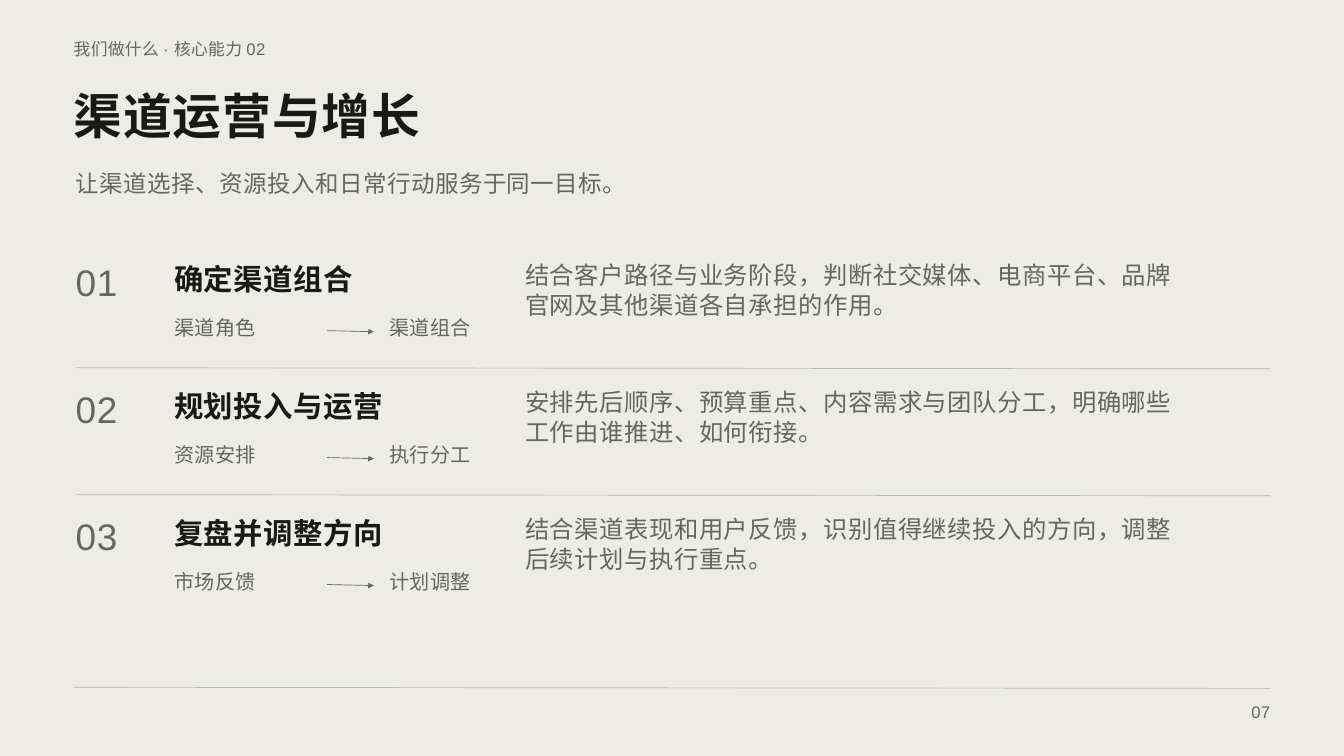
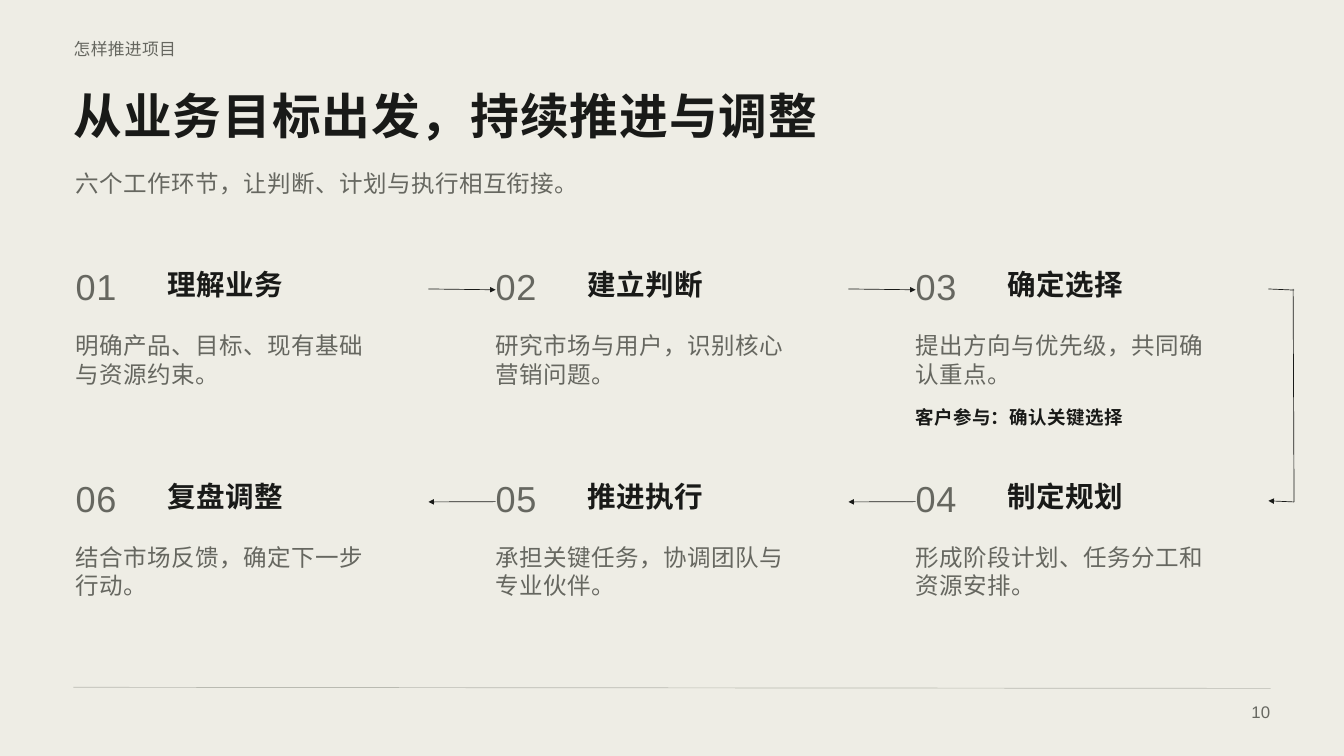
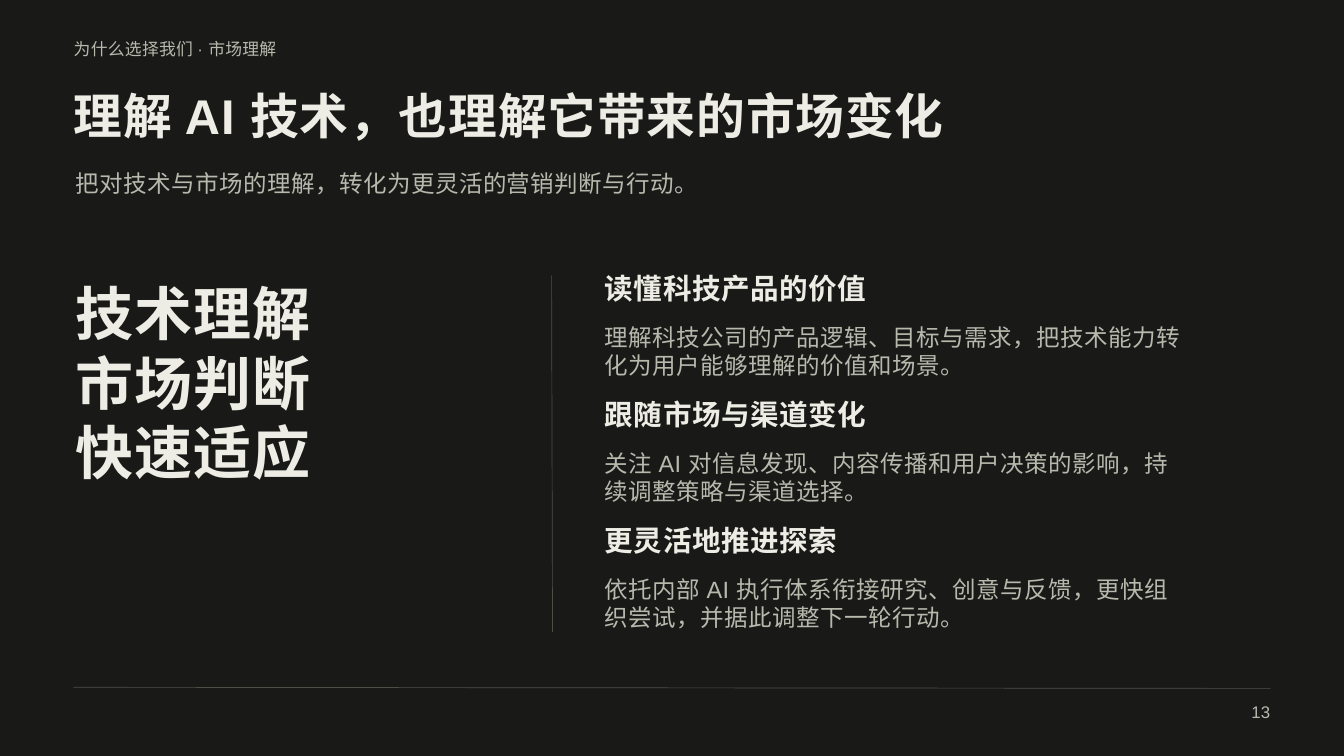
from dataclasses import dataclass
from pptx import Presentation
from pptx.dml.color import RGBColor
from pptx.enum.shapes import MSO_CONNECTOR
from pptx.enum.text import MSO_AUTO_SIZE, PP_ALIGN
from pptx.oxml.ns import qn
from pptx.util import Pt
from lxml.etree import SubElement


@dataclass(frozen=True)
class Palette:
    bg: str
    ink: str
    muted: str
    rule: str


@dataclass(frozen=True)
class Style:
    size: float
    spacing: int
    bold: bool = False


class Theme:
    font = "Arial"
    light = Palette("EEEDE5", "191A18", "666760", "B9BAB1")
    dark = Palette("191A18", "EEEDE5", "B7B9AD", "4D4F47")
    line_width = 0.75
    leading = 1.2
    tilt = 1.2
    small = Style(18, 30)
    title = Style(52.2, 100, True)
    lead = Style(25.2, 50)
    row_number = Style(39.6, 80)
    row_title = Style(31.5, 60, True)
    row_body = Style(26.1, 50)
    row_tag = Style(21.6, 40)
    step_number = Style(38.7, 80)
    heading = Style(30.6, 60, True)
    note = Style(19.8, 40, True)
    statement = Style(62.1, 120, True)


def add_text(s, box, lines, style, color, align=PP_ALIGN.LEFT):
    tb = s.shapes.add_textbox(*map(Pt, box))
    tf = tb.text_frame
    tf.word_wrap = True
    tf.auto_size = MSO_AUTO_SIZE.SHAPE_TO_FIT_TEXT
    tf.margin_left = tf.margin_right = tf.margin_top = tf.margin_bottom = 0
    for i, line in enumerate(lines):
        p = tf.add_paragraph() if i else tf.paragraphs[0]
        p.alignment = align
        p.line_spacing = Pt(style.size * Theme.leading)
        r = p.add_run()
        r.text = line
        r.font.name = Theme.font
        r.font.size = Pt(style.size)
        r.font.bold = style.bold
        r.font.color.rgb = RGBColor.from_string(color)
        r._r.get_or_add_rPr().set("spc", str(style.spacing))
    return tb


def add_line(s, x1, y1, x2, y2, color, arrow=None):
    c = s.shapes.add_connector(MSO_CONNECTOR.STRAIGHT, *map(Pt, (x1, y1, x2, y2)))
    c.line.color.rgb = RGBColor.from_string(color)
    c.line.width = Pt(Theme.line_width)
    if arrow:
        SubElement(c.line._get_or_add_ln(), qn(f"a:{arrow}"), type="triangle")
    SubElement(c._element.spPr, qn("a:effectLst"))
    return c


def add_level(s, x1, x2, y, color, arrow=None):
    return add_line(s, x1, y, x2, y + Theme.tilt, color, arrow)


def add_page(prs, pal, section, title, lead, number):
    s = prs.slides.add_slide(prs.slide_layouts[6])
    s.background.fill.solid()
    s.background.fill.fore_color.rgb = RGBColor.from_string(pal.bg)
    add_text(s, (79, 42, 990, 22), [section], Theme.small, pal.muted)
    add_text(s, (79, 91.5, 1282, 64), [title], Theme.title, pal.ink)
    add_text(s, (81, 181.5, 1260, 32), [lead], Theme.lead, pal.muted)
    add_level(s, 78.5, 1361.5, 736.4, pal.rule)
    add_text(s, (1291, 751.5, 70, 22), [number], Theme.small, pal.muted, PP_ALIGN.RIGHT)
    return s


def add_row(s, x, y, pal, number, title, body, source, result):
    add_text(s, (x, y, 81, 57), [number], Theme.row_number, pal.muted)
    add_text(s, (x + 105.5, y + 1.75, 351, 39), [title], Theme.row_title, pal.ink)
    add_text(s, (x + 481.5, y + 0.75, 798.5, 63), body, Theme.row_body, pal.muted)
    add_text(s, (x + 105.5, y + 59.25, 155, 35), [source], Theme.row_tag, pal.muted)
    add_level(s, x + 269.5, x + 319.5, y + 75.75, pal.muted, "tailEnd")
    add_text(s, (x + 336, y + 59.25, 144, 35), [result], Theme.row_tag, pal.muted)


def channel_slide(prs):
    pal = Theme.light
    s = add_page(prs, pal, "我们做什么 · 核心能力 02", "渠道运营与增长",
                 "让渠道选择、资源投入和日常行动服务于同一目标。", "07")
    rows = [
        ("确定渠道组合", ["结合客户路径与业务阶段，判断社交媒体、电商平台、品牌",
                    "官网及其他渠道各自承担的作用。"], "渠道角色", "渠道组合"),
        ("规划投入与运营", ["安排先后顺序、预算重点、内容需求与团队分工，明确哪些",
                     "工作由谁推进、如何衔接。"], "资源安排", "执行分工"),
        ("复盘并调整方向", ["结合渠道表现和用户反馈，识别值得继续投入的方向，调整",
                     "后续计划与执行重点。"], "市场反馈", "计划调整"),
    ]
    left, top, pitch = 81, 278.5, 136
    for i, row in enumerate(rows):
        y = top + i * pitch
        if i:
            add_level(s, left, 1361.5, y - 20.5, pal.rule)
        add_row(s, left, y, pal, f"{i + 1:02}", *row)


def add_step(s, x, y, w, pal, number, title, body):
    number_box = add_text(s, (x, y, 83, 55), [number], Theme.step_number, pal.muted)
    add_text(s, (x + 98.5, y + 3.5, 281, 37.5), [title], Theme.heading, pal.ink)
    add_text(s, (x, y + 72, w, 61), body, Theme.lead, pal.muted)
    return number_box


def process_slide(prs):
    pal = Theme.light
    s = add_page(prs, pal, "怎样推进项目", "从业务目标出发，持续推进与调整",
                 "六个工作环节，让判断、计划与执行相互衔接。", "10")
    steps = [
        ("理解业务", ["明确产品、目标、现有基础", "与资源约束。"]),
        ("建立判断", ["研究市场与用户，识别核心", "营销问题。"]),
        ("确定选择", ["提出方向与优先级，共同确", "认重点。"]),
        ("制定规划", ["形成阶段计划、任务分工和", "资源安排。"]),
        ("推进执行", ["承担关键任务，协调团队与", "专业伙伴。"]),
        ("复盘调整", ["结合市场反馈，确定下一步", "行动。"]),
    ]
    left, top, col_pitch, row_pitch, w = 81, 283, 450, 227, 378
    mid = 26.6
    for i, (title, body) in enumerate(steps):
        row, col = divmod(i, 3)
        col = 2 - col if row else col
        x, y = left + col * col_pitch, top + row * row_pitch
        number_box = add_step(s, x, y, w, pal, f"{i + 1:02}", title, body)
        if col:
            gap_left = x - col_pitch + w
            if row:
                c = add_level(s, x, gap_left, y + mid, pal.ink, "tailEnd")
                c.begin_connect(number_box, 1)
            else:
                c = add_level(s, gap_left, x, y + mid, pal.ink, "tailEnd")
                c.end_connect(number_box, 1)
    right = left + 2 * col_pitch
    add_text(s, (right, top + 152, w, 42), ["客户参与：确认关键选择"], Theme.note, pal.ink)
    edge, turn = right + w, right + w + 27.5
    y1, y2 = top + mid, top + row_pitch + mid
    add_level(s, edge, turn, y1, pal.ink)
    add_line(s, turn - 1, y1, turn, y2 + Theme.tilt, pal.ink)
    add_level(s, edge, turn, y2, pal.ink, "headEnd")


def market_slide(prs):
    pal = Theme.dark
    s = add_page(prs, pal, "为什么选择我们 · 市场理解", "理解 AI 技术，也理解它带来的市场变化",
                 "把对技术与市场的理解，转化为更灵活的营销判断与行动。", "13")
    add_text(s, (81, 297.5, 495, 303), ["技术理解", "市场判断", "快速适应"],
             Theme.statement, pal.ink)
    add_line(s, 591, 295, 592, 677, pal.rule)
    points = [
        ("读懂科技产品的价值", ["理解科技公司的产品逻辑、目标与需求，把技术能力转",
                       "化为用户能够理解的价值和场景。"]),
        ("跟随市场与渠道变化", ["关注 AI 对信息发现、内容传播和用户决策的影响，持",
                       "续调整策略与渠道选择。"]),
        ("更灵活地推进探索", ["依托内部 AI 执行体系衔接研究、创意与反馈，更快组",
                      "织尝试，并据此调整下一轮行动。"]),
    ]
    left, top, pitch, w = 648, 290, 135, 713
    for i, (title, body) in enumerate(points):
        y = top + i * pitch
        add_text(s, (left, y, w, 52), [title], Theme.heading, pal.ink)
        add_text(s, (left, y + 55.75, w, 79), body, Theme.lead, pal.muted)


def main():
    prs = Presentation()
    prs.slide_width, prs.slide_height = Pt(1440), Pt(810)
    channel_slide(prs)
    process_slide(prs)
    market_slide(prs)
    prs.save("out.pptx")


if __name__ == "__main__":
    main()
